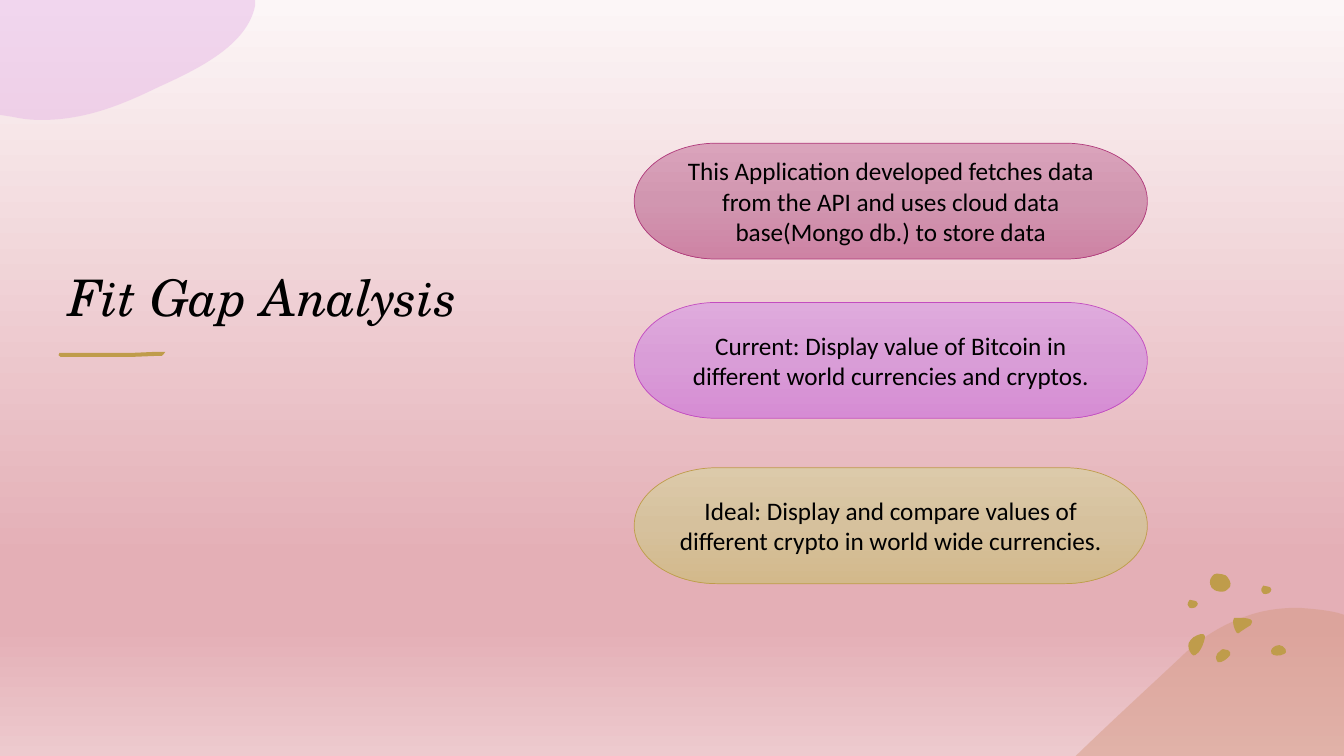
from copy import deepcopy

from pptx import Presentation
from pptx import util as u
from pptx.dml.color import RGBColor
from pptx.enum import shapes, text
from pptx.oxml.ns import qn
from lxml import etree

PX = u.Inches(1) // 100

BLACK = RGBColor(0x00, 0x00, 0x00)
GOLD = RGBColor(0xBF, 0x9C, 0x4B)
CLAY = RGBColor(0xD6, 0x9B, 0x84)
LILAC = RGBColor(0xE7, 0xB8, 0xE6)
MAGENTA = RGBColor(0xB1, 0x3B, 0x7C)
ORCHID = RGBColor(0xC3, 0x4D, 0xC0)
ROSE = RGBColor(0xE4, 0xAF, 0xB6)
BACKDROP = [(0, RGBColor(0xFC, 0xF6, 0xF7)), (0.74, ROSE), (0.83, ROSE),
            (1, RGBColor(0xED, 0xCA, 0xCE))]
MAGENTA_FADE = [(0, RGBColor(0xDA, 0xA3, 0xBB)), (0.5, RGBColor(0xD1, 0x96, 0xB0)),
                (1, RGBColor(0xCE, 0x83, 0xA4))]
ORCHID_FADE = [(0, RGBColor(0xDF, 0xAB, 0xDD)), (0.5, RGBColor(0xD9, 0x9D, 0xD7)),
               (1, RGBColor(0xD6, 0x8C, 0xD4))]
GOLD_FADE = [(0, RGBColor(0xDC, 0xCA, 0xAA)), (0.5, RGBColor(0xD6, 0xC1, 0x9D)),
             (1, RGBColor(0xD3, 0xB9, 0x8B))]

# Outlines in px from their box: a pair is a corner, six numbers are a Bézier curve.
CORNER = [(0, 0), (253, 0), (253, 6), (245, 44, 200, 67, 158, 86),
          (123, 103, 86, 119, 41, 119), (31, 119, 22, 118, 13, 116), (0, 114)]
HILL = [(221, 0), (234, 1, 247, 2, 260, 5), (266, 7), (266, 147), (0, 147), (1, 146),
        (35, 113, 70, 81, 102, 51), (124, 29, 147, 16, 170, 8), (187, 2, 204, 0, 221, 0)]
STROKE = [(1, 1), (30, 1), (53, 1), (75, 1), (97, 0), (106, 0), (103, 2, 105, 5, 99, 4),
          (74, 5), (32, 5), (2, 5), (-1, 5, 0, 2, 1, 1)]
DOT = [(0, 5), (0, 5, 0, 1, 2, 0), (4, 0, 5, 0, 7, 1), (8, 1, 10, 2, 10, 4),
       (10, 5, 9, 7, 8, 7), (8, 7, 8, 8, 6, 8), (5, 8, 3, 9, 2, 8), (1, 6, 0, 6, 0, 5)]
SPLASHES = [
    [(35, 75), (37, 75, 38, 75, 40, 76), (42, 77, 43, 79, 42, 81), (40, 84, 34, 89, 30, 88),
     (29, 87, 28, 85, 28, 83), (28, 81, 30, 78, 32, 77), (33, 76, 34, 75, 35, 75)],
    [(13, 60), (15, 60, 17, 60, 17, 62), (17, 63, 17, 63, 17, 64), (16, 69, 14, 74, 11, 78),
     (9, 80, 6, 83, 4, 80), (1, 77, 0, 72, 1, 69), (2, 66, 4, 65, 6, 63),
     (7, 63, 10, 60, 13, 60)],
    [(91, 71), (93, 71, 96, 73, 97, 75), (98, 77, 98, 79, 95, 80), (92, 82, 84, 82, 83, 79),
     (82, 77, 83, 75, 84, 74), (86, 72, 88, 71, 91, 71)],
    [(23, 12), (22, 12, 21, 6, 24, 3), (26, 1, 26, 0, 29, 0), (32, 0, 36, 1, 38, 2),
     (40, 4, 44, 9, 42, 13), (39, 16, 38, 18, 34, 18), (31, 18, 26, 17, 25, 15),
     (23, 14, 23, 13, 23, 12)],
    [(50, 44), (56, 44, 67, 44, 63, 50), (63, 51, 62, 52, 61, 52), (58, 54, 55, 56, 52, 58),
     (51, 59, 50, 60, 49, 59), (49, 59, 48, 58, 48, 58), (46, 54, 45, 51, 45, 47),
     (45, 46, 45, 45, 46, 44), (46, 44, 47, 44, 47, 44), (48, 44, 49, 44, 50, 44)],
]
DOT_OFFSETS = [(73, 12), (0, 26)]

STATEMENTS = [
    (0, "This Application developed fetches data from the API and uses cloud data "
        "base(Mongo db.) to store data", MAGENTA_FADE, MAGENTA),
    (158, "Current: Display value of Bitcoin in different world currencies and cryptos.",
     ORCHID_FADE, ORCHID),
    (322, "Ideal: Display and compare values of different crypto in world wide currencies.",
     GOLD_FADE, GOLD),
]


def set_gradient(fill, element, stops):
    """Fill from top to bottom; element is the XML that holds the fill."""
    fill.gradient()
    fill.gradient_angle = 270
    stop_list = element.find(".//" + qn("a:gsLst"))
    while len(stop_list) < len(stops):
        stop_list.append(deepcopy(stop_list[0]))
    for stop, (position, color) in zip(fill.gradient_stops, stops):
        stop.position = position
        stop.color.rgb = color


def bend_segments(blob, left, top, outline):
    """Turn the straight segments into curves where the outline has control points."""
    lines = blob._element.spPr.findall(".//" + qn("a:lnTo"))
    for line, segment in zip(lines, outline[1:]):
        if len(segment) == 2:
            continue
        curve = etree.Element(qn("a:cubicBezTo"))
        for x, y in zip(segment[::2], segment[1::2]):
            point = etree.SubElement(curve, qn("a:pt"))
            point.set("x", str((left + x) * PX - blob.left))
            point.set("y", str((top + y) * PX - blob.top))
        line.getparent().replace(line, curve)


def add_blob(page, left, top, outline, color, opacity=100):
    anchors = [((left + segment[-2]) * PX, (top + segment[-1]) * PX) for segment in outline]
    builder = page.shapes.build_freeform(*anchors[0])
    builder.add_line_segments(anchors[1:], close=True)
    blob = builder.convert_to_shape()
    bend_segments(blob, left, top, outline)
    blob.shadow.inherit = False
    blob.fill.solid()
    blob.fill.fore_color.rgb = color
    blob.line.fill.background()
    if opacity < 100:
        color_element = blob._element.spPr.find(".//" + qn("a:srgbClr"))
        etree.SubElement(color_element, qn("a:alpha")).set("val", str(opacity * 1000))


def add_splatter(page, left, top):
    for outline in SPLASHES:
        add_blob(page, left, top, outline, GOLD)
    for x, y in DOT_OFFSETS:
        add_blob(page, left + x, top + y, DOT, GOLD)


def add_title(page, left, top, width, height):
    """Place the heading with the brush stroke below it."""
    add_blob(page, left, top + height + 20, STROKE, GOLD)
    box = page.shapes.add_textbox(left * PX, top * PX, width * PX, height * PX)
    frame = box.text_frame
    frame.word_wrap = True
    frame.vertical_anchor = text.MSO_ANCHOR.BOTTOM
    para = frame.paragraphs[0]
    para.text = "Fit Gap Analysis"
    para.font.name = "TeX Gyre Schola"
    para.font.size = u.Pt(36)
    para.font.italic = True
    para.font.color.rgb = BLACK


def add_statements(page, left, top, width, height):
    """Stack the pills from top; height is that of one pill."""
    for offset, wording, fade, edge in STATEMENTS:
        pill = page.shapes.add_shape(shapes.MSO_SHAPE.FLOWCHART_TERMINATOR, left * PX,
                                     (top + offset) * PX, width * PX, height * PX)
        pill.shadow.inherit = False
        set_gradient(pill.fill, pill._element, fade)
        pill.line.color.rgb = edge
        pill.line.width = u.Pt(0.5)
        frame = pill.text_frame
        frame.word_wrap = True
        frame.vertical_anchor = text.MSO_ANCHOR.MIDDLE
        para = frame.paragraphs[0]
        para.text = wording
        para.alignment = text.PP_ALIGN.CENTER
        para.font.name = "Calibri"
        para.font.size = u.Pt(18)
        para.font.color.rgb = BLACK


def main():
    deck = Presentation()
    deck.slide_width, deck.slide_height = 1333 * PX, 750 * PX
    page = deck.slides.add_slide(deck.slide_layouts[6])
    set_gradient(page.background.fill, page._element, BACKDROP)
    add_blob(page, 1067, 603, HILL, CLAY, opacity=50)
    add_splatter(page, 1178, 569)
    add_blob(page, 0, 0, CORNER, LILAC, opacity=50)
    add_title(page, 58, 86, 430, 243)
    add_statements(page, 629, 142, 509, 115)
    deck.save("out.pptx")


if __name__ == "__main__":
    main()
